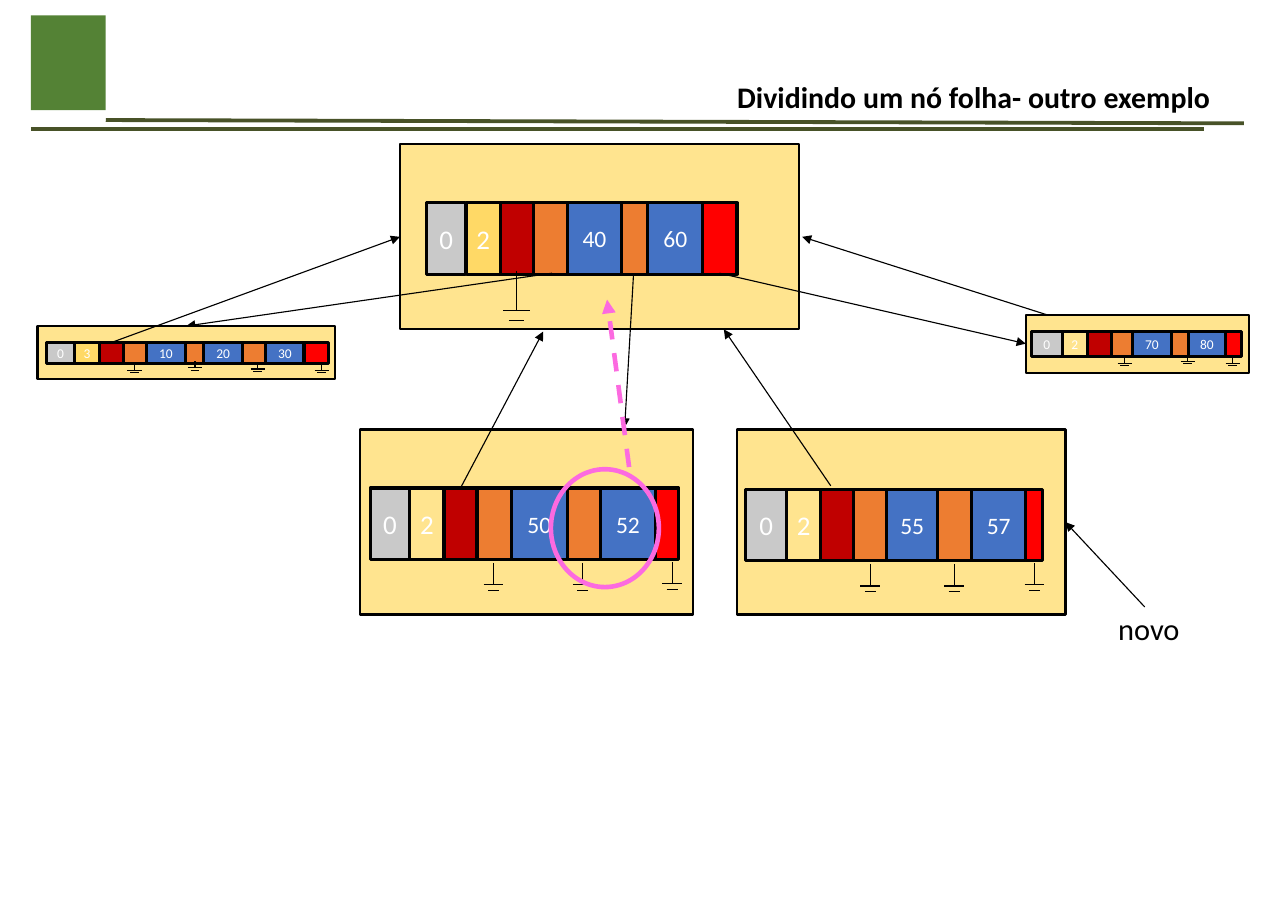
from itertools import accumulate

from lxml import etree
from pptx import Presentation
from pptx.dml.color import RGBColor
from pptx.enum.dml import MSO_LINE
from pptx.enum.shapes import MSO_CONNECTOR, MSO_SHAPE
from pptx.enum.text import MSO_ANCHOR, PP_ALIGN
from pptx.oxml.ns import qn
from pptx.util import Emu, Pt

PX = 9144
RECT, OVAL = MSO_SHAPE.RECTANGLE, MSO_SHAPE.OVAL
STRAIGHT, DASH = MSO_CONNECTOR.STRAIGHT, MSO_LINE.DASH
CENTER, RIGHT, MIDDLE = PP_ALIGN.CENTER, PP_ALIGN.RIGHT, MSO_ANCHOR.MIDDLE

BLACK = RGBColor(0x00, 0x00, 0x00)
WHITE = RGBColor(0xFF, 0xFF, 0xFF)
GREEN = RGBColor(0x54, 0x82, 0x35)
OLIVE = RGBColor(0x48, 0x52, 0x28)
SAND = RGBColor(0xFF, 0xE4, 0x8F)
GOLD = RGBColor(0xFF, 0xD9, 0x66)
GREY = RGBColor(0xC9, 0xC9, 0xC9)
DARK_RED = RGBColor(0xC0, 0x00, 0x00)
RED = RGBColor(0xFF, 0x00, 0x00)
ORANGE = RGBColor(0xED, 0x7D, 0x31)
BLUE = RGBColor(0x44, 0x72, 0xC4)
PINK = RGBColor(0xFC, 0x6A, 0xE0)

ROOT = (363, 131, 362, 168)
MIDDLE_NODE = (327, 390, 302, 168)
NEW_NODE = (669, 390, 298, 168)
LEFT_LEAF = (34, 296, 270, 48)
RIGHT_LEAF = (931, 286, 203, 53)
NEW_LABEL = (1005, 549, 76, 44)

LARGE = {"number_size": 17.6, "key_size": 15.4}
SMALL = {"number_size": 8.8, "key_size": 8.8}
ROOT_GROUND = (36, 24, 9, 14)
MIDDLE_GROUND = (20, 18, 5, 10)
LEAF_GROUND = (6, 13, 2, 8)


def emu(*lengths):
    """Turn px lengths into EMU."""
    return [Emu(length * PX) for length in lengths]


def assign(target, values):
    """Set each named attribute of the target."""
    for name, value in values.items():
        setattr(target, name, value)


def write(frame, text, size, color, align, bold=False):
    """Write one formatted paragraph into a text frame."""
    frame.text = text
    paragraph = frame.paragraphs[0]
    paragraph.alignment = align
    font = paragraph.runs[0].font
    assign(font, {"name": "Calibri", "size": Pt(size), "bold": bold})
    font.color.rgb = color
    return paragraph


def add_block(slide, box, fill=None, line=None, width=1, kind=RECT):
    """Add a plain shape, filled or outlined as asked."""
    block = slide.shapes.add_shape(kind, *emu(*box))
    block.shadow.inherit = False
    if fill is None:
        block.fill.background()
    else:
        block.fill.solid()
        block.fill.fore_color.rgb = fill
    if line is None:
        block.line.fill.background()
    else:
        block.line.color.rgb = line
        block.line.width = Pt(width)
    return block


def add_line(slide, start, end, color=BLACK, width=0.75, arrow=False, dash=None):
    """Draw a straight line, with an arrowhead at its end if asked."""
    connector = slide.shapes.add_connector(STRAIGHT, *emu(*start, *end))
    connector.line.color.rgb = color
    assign(connector.line, {"width": Pt(width), "dash_style": dash})
    if arrow:
        outline = connector.line._get_or_add_ln()
        etree.SubElement(outline, qn("a:tailEnd"), type="triangle")
    etree.SubElement(connector._element.spPr, qn("a:effectLst"))


def add_link(slide, source, start, target, end, **style):
    """Draw an arrow between points given relative to two boxes."""
    add_line(slide, (source[0] + start[0], source[1] + start[1]),
             (target[0] + end[0], target[1] + end[1]), arrow=True, **style)


def add_ground(slide, x, y, ground):
    """Draw the null pointer sign hanging from a point."""
    stem, wide, gap, narrow = ground
    base = y + stem
    add_line(slide, (x, y), (x, base))
    for bar, level in ((wide, base), (narrow, base + gap)):
        add_line(slide, (x - bar / 2, level), (x + bar / 2, level))


def add_node(slide, box, row, widths, keys, count_fill, sizes, ground, nulls):
    """Draw a tree node with its row of cells and its null pointers."""
    left, top = box[:2]
    add_block(slide, box, SAND, BLACK, 1.5)
    row_left, row_top, height = row
    fills = [GREY, count_fill, DARK_RED] + [ORANGE, BLUE] * len(keys) + [RED]
    texts = ["0", str(len(keys)), ""]
    for key in keys:
        texts += ["", str(key)]
    texts.append("")
    starts = accumulate(widths, initial=left + row_left)
    for index, (x, width, fill, text) in enumerate(zip(starts, widths, fills, texts)):
        cell = add_block(slide, (x, top + row_top, width, height), fill, BLACK, 2)
        if text:
            assign(cell.text_frame, {
                "margin_left": 0, "margin_right": 0, "margin_top": 0,
                "margin_bottom": 0, "vertical_anchor": MIDDLE, "word_wrap": False})
            size = sizes["number_size"] if index < 2 else sizes["key_size"]
            write(cell.text_frame, text, size, WHITE, CENTER)
    for x, y in nulls:
        add_ground(slide, left + x, top + y, ground)


def add_header(slide, box):
    """Draw the emblem block, the double rule and the title."""
    left, top, width, height = box
    add_block(slide, (left, top, 68, 86), GREEN)
    bottom = top + height
    add_line(slide, (left + 68, bottom - 8), (left + width, bottom - 5), OLIVE, 2.5)
    add_line(slide, (left, bottom), (left + width - 36, bottom), OLIVE, 2.5)
    title = slide.shapes.title
    places = emu(left + 576, top + 49, 506, 54)
    assign(title, dict(zip(("left", "top", "width", "height"), places)))
    side, edge = emu(11, 6)
    assign(title.text_frame, {
        "margin_left": side, "margin_right": side, "margin_top": edge,
        "margin_bottom": edge, "vertical_anchor": MIDDLE, "word_wrap": True})
    paragraph = write(title.text_frame, "Dividindo um nó folha- outro exemplo",
                      19.5, BLACK, RIGHT, True)
    assign(paragraph, {"line_spacing": 0.9, "space_before": Pt(0)})


def add_inner_nodes(slide):
    """Draw the root, the split node, the new node and the links below them."""
    add_node(slide, ROOT, (24, 53, 65), (36, 31, 30, 31, 49, 24, 50, 31),
             (40, 60), GOLD, LARGE, ROOT_GROUND, [(106, 115)])
    add_node(slide, MIDDLE_NODE, (9, 53, 65), (36, 31, 30, 31, 51, 30, 50, 21),
             (50, 52), SAND, LARGE, MIDDLE_GROUND, [(121, 121), (202, 121), (283, 120)])
    add_node(slide, NEW_NODE, (8, 54, 65), (37, 31, 30, 30, 46, 31, 49, 15),
             (55, 57), SAND, LARGE, MIDDLE_GROUND, [(121, 122), (197, 122), (270, 121)])
    add_link(slide, ROOT, (138, 117), LEFT_LEAF, (135, 0))
    add_link(slide, ROOT, (212, 118), MIDDLE_NODE, (240, -2))
    add_link(slide, ROOT, (290, 117), RIGHT_LEAF, (0, 26))
    add_link(slide, MIDDLE_NODE, (91, 53), ROOT, (130, 170))
    add_link(slide, NEW_NODE, (85, 51), ROOT, (294, 168))
    add_link(slide, RIGHT_LEAF, (67, 15), ROOT, (365, 84))


def add_leaves(slide):
    """Draw the two small leaves and the left one's parent link."""
    add_node(slide, LEFT_LEAF, (8, 15, 19), (26, 22, 22, 21, 35, 17, 35, 21, 35, 22),
             (10, 20, 30), GOLD, SMALL, LEAF_GROUND,
             [(88, 34), (143, 32), (200, 33), (258, 34)])
    add_node(slide, RIGHT_LEAF, (5, 15, 23), (28, 23, 22, 19, 35, 16, 33, 15),
             (70, 80), SAND, SMALL, LEAF_GROUND, [(90, 38), (147, 36), (188, 38)])
    add_link(slide, LEFT_LEAF, (67, 15), ROOT, (0, 84))


def add_marks(slide, box):
    """Mark the promoted key and label the new node."""
    label = slide.shapes.add_textbox(*emu(*box))
    label.text_frame.word_wrap = False
    write(label.text_frame, "novo", 19.9, BLACK, None)
    add_link(slide, box, (34, 2), NEW_NODE, (298, 84))
    left, top = MIDDLE_NODE[:2]
    add_block(slide, (left + 173, top + 36, 98, 107), None, PINK, 3, OVAL)
    add_link(slide, MIDDLE_NODE, (244, 34), ROOT, (188, 141),
             color=PINK, width=3, dash=DASH)


def main():
    """Build the slide and save it."""
    deck = Presentation()
    deck.slide_width, deck.slide_height = emu(1169, 827)
    slide = deck.slides.add_slide(deck.slide_layouts[5])
    add_header(slide, (28, 14, 1101, 103))
    add_inner_nodes(slide)
    add_leaves(slide)
    add_marks(slide, NEW_LABEL)
    deck.save("out.pptx")


if __name__ == "__main__":
    main()
